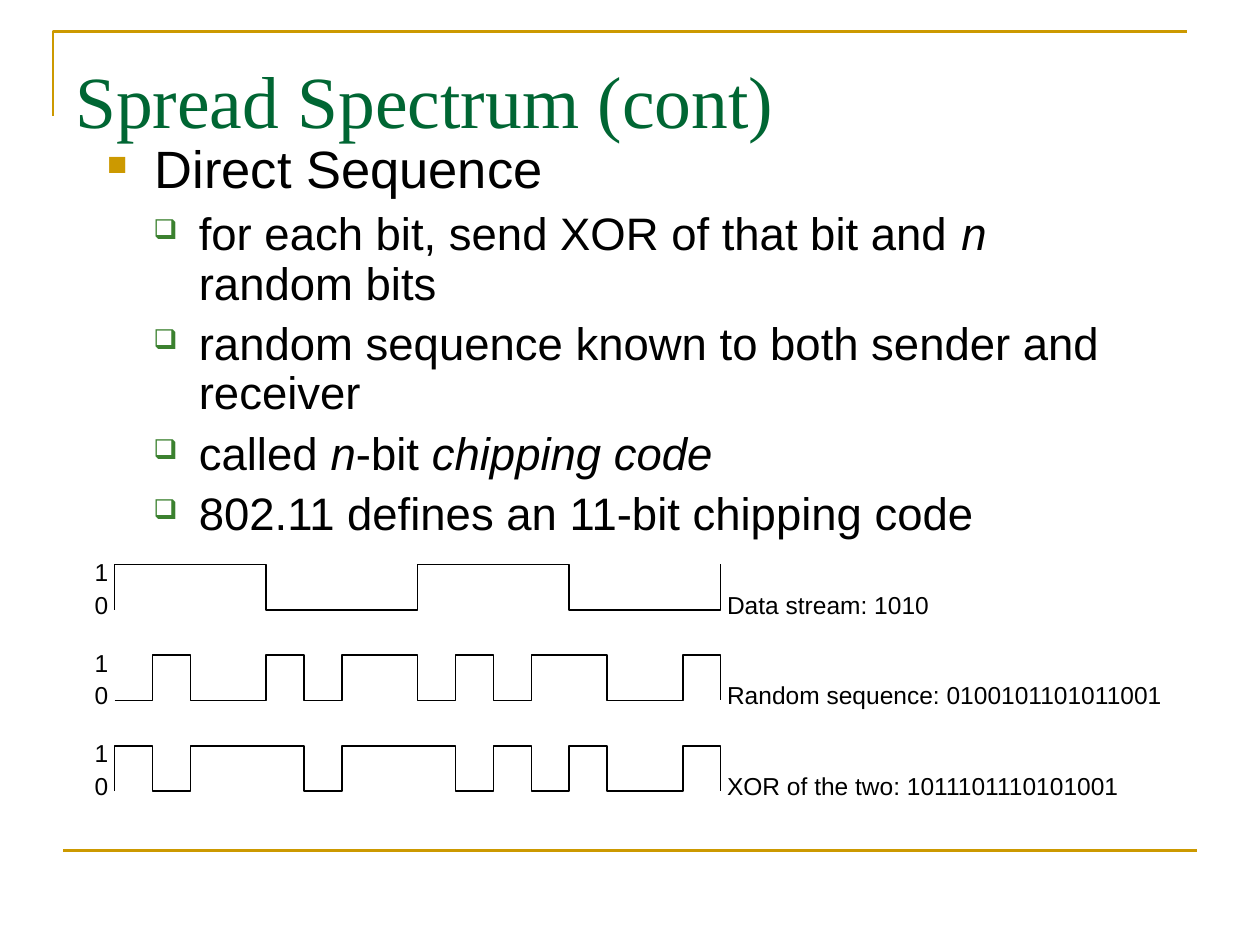
from dataclasses import dataclass
from itertools import pairwise

from lxml.etree import SubElement
from pptx import Presentation
from pptx.dml.color import RGBColor
from pptx.enum.shapes import MSO_CONNECTOR
from pptx.enum.text import MSO_ANCHOR
from pptx.oxml.ns import qn
from pptx.util import Inches, Pt

GOLD = RGBColor(0xCC, 0x99, 0x00)
GREEN = RGBColor(0x00, 0x66, 0x33)
LEAF = RGBColor(0x3B, 0x81, 0x2F)
BLACK = RGBColor(0, 0, 0)
SANS, SERIF = "Arial", "Times New Roman"

# Each line is a list of (text, italic) spans.
POINTS = [
    [("for each bit, send XOR of that bit and ", False), ("n", True),
     (" random bits", False)],
    [("random sequence known to both sender and receiver", False)],
    [("called ", False), ("n", True), ("-bit ", False),
     ("chipping code", True)],
    [("802.11 defines an 11-bit chipping code", False)],
]
SIGNALS = [
    ("Data stream: ", "1010"),
    ("Random sequence: ", "0100101101011001"),
    ("XOR of the two: ", "1011101110101001"),
]


@dataclass
class Box:
    left: float
    top: float
    width: float
    height: float

    def inches(self):
        return [Inches(n) for n in
                (self.left, self.top, self.width, self.height)]


def style(font, size, name, color, italic=None):
    font.size, font.name, font.italic = Pt(size), name, italic
    font.color.rgb = color


def add_outline(page, points, color, weight):
    """Draw an open, unfilled path through points given in inches."""
    corners = [(Inches(x), Inches(y)) for x, y in points]
    builder = page.shapes.build_freeform(*corners[0])
    builder.add_line_segments(corners[1:], close=False)
    outline = builder.convert_to_shape()
    outline.shadow.inherit = False
    outline.fill.background()
    outline.line.color.rgb, outline.line.width = color, Pt(weight)


def add_label(page, box, text):
    frame = page.shapes.add_textbox(*box.inches()).text_frame
    frame.word_wrap = False
    frame.margin_left = frame.margin_right = 0
    frame.margin_top = frame.margin_bottom = 0
    frame.text = text
    style(frame.paragraphs[0].runs[0].font, 14, SANS, BLACK)


def add_frame_lines(page, box):
    """Gold corner at the top left and gold rule along the bottom."""
    right = box.left + box.width
    add_outline(page, [(box.left, box.top + 0.67), (box.left, box.top),
                       (right, box.top)], GOLD, 1.5)
    rule_y, shift = Inches(box.top + box.height), 0.08
    rule = page.shapes.add_connector(
        MSO_CONNECTOR.STRAIGHT, Inches(box.left + shift), rule_y,
        Inches(right + shift), rule_y)
    rule.line.color.rgb, rule.line.width = GOLD, Pt(1.5)
    SubElement(rule._element.spPr, qn("a:effectLst"))


def add_title(page, box, text):
    frame = page.shapes.add_textbox(*box.inches()).text_frame
    frame.word_wrap = True
    frame.vertical_anchor = MSO_ANCHOR.TOP
    frame.text = text
    style(frame.paragraphs[0].runs[0].font, 42, SERIF, GREEN)


def set_bullet(para, mark, color, percent, indent, hanging):
    props = para._p.get_or_add_pPr()
    props.set("marL", str(Inches(indent)))
    props.set("indent", str(-Inches(hanging)))
    tint = SubElement(props, qn("a:buClr"))
    SubElement(tint, qn("a:srgbClr")).set("val", str(color))
    SubElement(props, qn("a:buSzPct")).set("val", str(percent * 1000))
    SubElement(props, qn("a:buChar")).set("char", mark)


def add_body(page, box, heading, points):
    frame = page.shapes.add_textbox(*box.inches()).text_frame
    frame.word_wrap = True
    for number, spans in enumerate([[(heading, False)]] + points):
        para = frame.add_paragraph() if number else frame.paragraphs[0]
        para.line_spacing = 0.9
        para.space_before = Pt(6.5 if number else 7.5)
        if number:
            para.level = 1
            set_bullet(para, "❑", LEAF, 60, 0.73, 0.36)
        else:
            set_bullet(para, "■", GOLD, 53, 0.38, 0.38)
        for text, italic in spans:
            span = para.add_run()
            span.text = text
            style(span.font, 26 if number else 30, SANS, BLACK, italic)


def wave_points(box, bits):
    """Corners of a square wave that rises from 0 and ends on an edge."""
    step = box.width / len(bits)
    level = {"1": box.top, "0": box.top + box.height}
    closing = "0" if bits[-1] == "1" else "1"
    points = [(box.left, level["0"])]
    for place, (before, after) in enumerate(pairwise("0" + bits + closing)):
        if before != after:
            x = box.left + place * step
            points += [(x, level[before]), (x, level[after])]
    return points


def add_signals(page, box, signals):
    """Stack the waves in equal rows, with levels left and captions right."""
    pitch = box.height / len(signals)
    axis, wave_width = 0.16, 4.81
    for row, (name, bits) in enumerate(signals):
        top = box.top + row * pitch
        wave = Box(box.left + axis, top, wave_width, pitch / 2)
        add_outline(page, wave_points(wave, bits), BLACK, 0.88)
        for mark, offset in (("1", -0.06), ("0", 0.2)):
            add_label(page, Box(box.left, top + offset, 0.11, 0.23), mark)
        caption_left = wave.left + wave_width + 0.05
        caption_width = box.left + box.width - caption_left
        add_label(page, Box(caption_left, top + 0.2, caption_width, 0.23),
                  name + bits)


def main():
    deck = Presentation()
    deck.slide_width, deck.slide_height = Inches(10), Inches(7.5)
    page = deck.slides.add_slide(deck.slide_layouts[6])
    add_frame_lines(page, Box(0.42, 0.25, 9, 6.5))
    add_title(page, Box(0.5, 0.39, 9, 1), "Spread Spectrum (cont)")
    add_body(page, Box(0.75, 1.09, 8.5, 5.25), "Direct Sequence", POINTS)
    add_signals(page, Box(0.75, 4.48, 8.5, 2.16), SIGNALS)
    deck.save("out.pptx")


if __name__ == "__main__":
    main()
